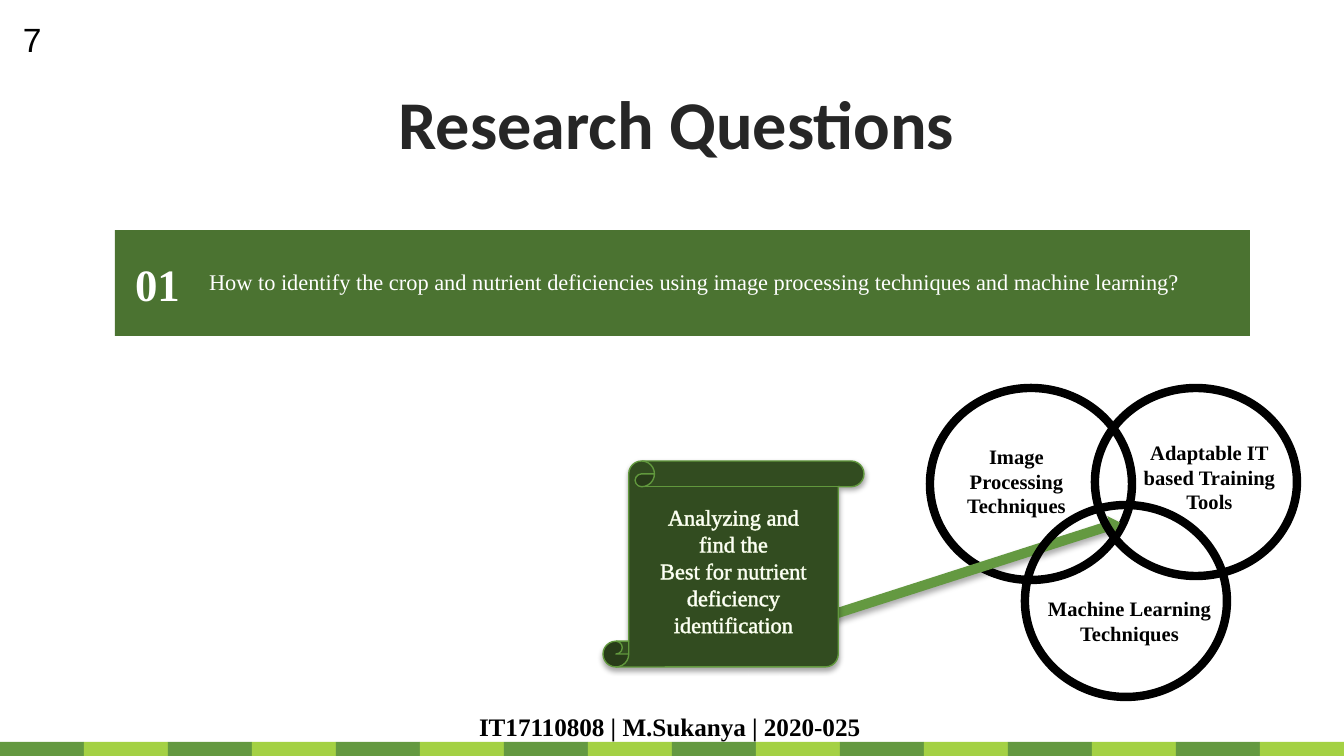
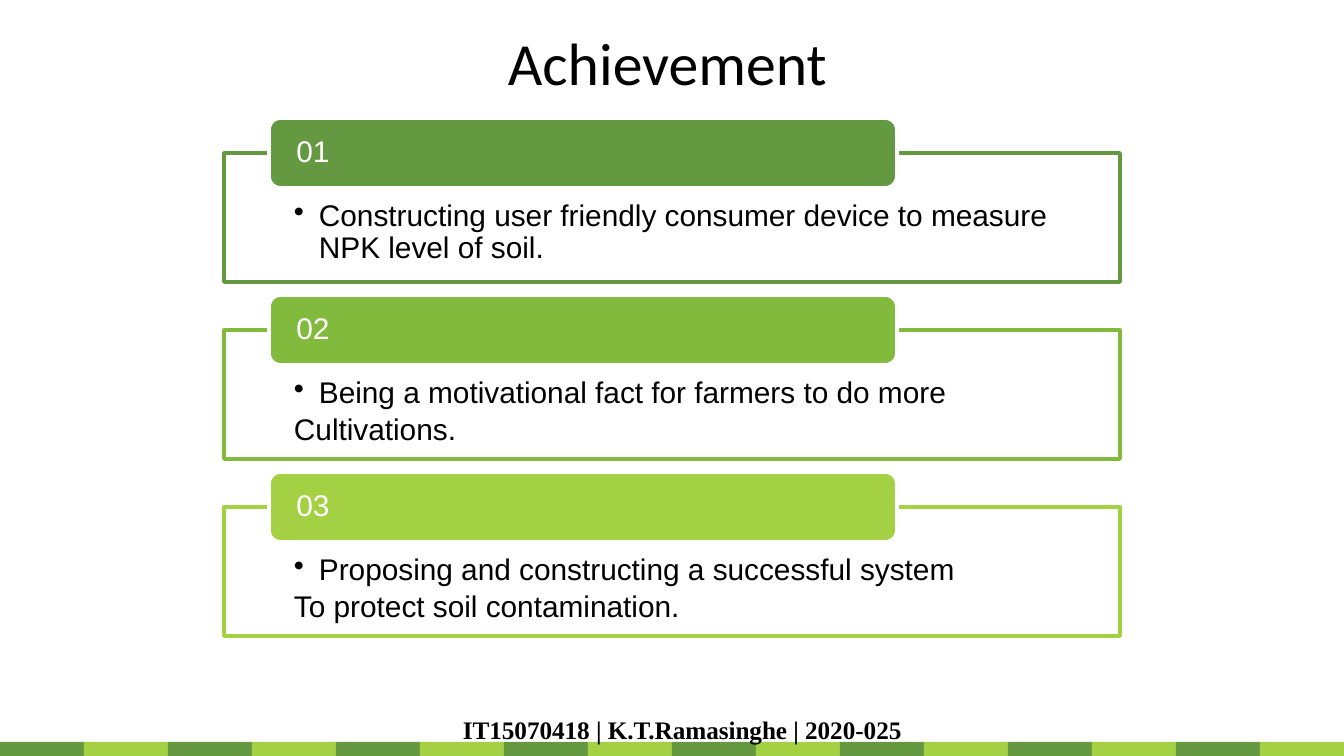
import pptx
import pptx.util
import pptx.dml.color
import pptx.enum.shapes
import pptx.enum.text
import pptx.oxml
import pptx.oxml.ns

SHAPE = pptx.enum.shapes.MSO_SHAPE
ALIGN = pptx.enum.text.PP_ALIGN
ANCHOR = pptx.enum.text.MSO_ANCHOR
Pt = pptx.util.Pt

SLIDE_W, SLIDE_H = 1344, 756
EMU_PER_PX = 914400 / 134.4
INSETS = (13, 7, 13, 7)

COLORS = {
    "green": "649941",
    "leaf": "81BA3D",
    "lime": "A4D144",
    "banner": "4B7331",
    "scroll": "324C20",
    "scroll line": "61983D",
    "glow": "EDF6DA",
    "ink": "262626",
    "black": "000000",
    "white": "FFFFFF",
}

# Text styles: font, size, colour, bold
STYLES = {
    "bold title": ("Calibri", 36.6, "ink", True),
    "title": ("Calibri", 32, "black", False),
    "footer": ("Times New Roman", 13.5, "black", True),
    "page": ("Arial", 18, "black", False),
    "number": ("Times New Roman", 24, "white", True),
    "question": ("Times New Roman", 12, "white", False),
    "circle": ("Times New Roman", 11, "black", True),
    "tab": ("Arial", 16, "white", False),
    "body": ("Arial", 16, "black", False),
}

QUESTION = ("How to identify the crop and nutrient deficiencies using "
            "image processing techniques and machine learning?")
SCROLL_LINES = ["Analyzing and", "find the", "Best for nutrient",
                "deficiency", "identification"]
# Circle box, label box, label lines
CIRCLES = [
    ((930, 388, 202, 192), (921, 437, 191, 89),
     ["Image", "Processing", "Techniques"]),
    ((1095, 388, 202, 188), (1122, 433, 175, 89),
     ["Adaptable IT", "based Training", "Tools"]),
    ((1025, 505, 202, 192), (1030, 589, 199, 63),
     ["Machine Learning Techniques"]),
]
ACHIEVEMENTS = [
    ("green", ["Constructing user friendly consumer device to measure "
               "NPK level of soil."]),
    ("leaf", ["Being a motivational fact for farmers to do more",
              "Cultivations."]),
    ("lime", ["Proposing and constructing a successful system",
              "To protect soil contamination."]),
]


def px(n):
    return pptx.util.Emu(round(n * EMU_PER_PX))


def rgb(name):
    return pptx.dml.color.RGBColor.from_string(COLORS[name])


def write(sp, lines, style, align=ALIGN.LEFT, anchor=ANCHOR.TOP, insets=INSETS):
    """Fill a shape with one paragraph per line and return the paragraphs."""
    font, size, color, bold = STYLES[style]
    tf = sp.text_frame
    tf.word_wrap = True
    tf.auto_size = pptx.enum.text.MSO_AUTO_SIZE.NONE
    tf.vertical_anchor = anchor
    tf.margin_left, tf.margin_top, tf.margin_right, tf.margin_bottom = map(px, insets)
    for i, line in enumerate(lines):
        p = tf.add_paragraph() if i else tf.paragraphs[0]
        p.alignment = align
        r = p.add_run()
        r.text = line
        r.font.name, r.font.size, r.font.bold = font, Pt(size), bold
        r.font.color.rgb = rgb(color)
    return tf.paragraphs


def add_shape(s, kind, box, fill=None, line=None, width=1):
    sp = s.shapes.add_shape(kind, *map(px, box))
    sp.shadow.inherit = False
    if fill:
        sp.fill.solid()
        sp.fill.fore_color.rgb = rgb(fill)
    else:
        sp.fill.background()
    if line:
        sp.line.color.rgb = rgb(line)
        sp.line.width = Pt(width)
    else:
        sp.line.fill.background()
    return sp


def add_text(s, box, lines, style, **layout):
    return write(s.shapes.add_textbox(*map(px, box)), lines, style, **layout)


def add_shadow(sp, alpha, blur, dist):
    """Cast a soft black shadow straight down; alpha in percent, the rest in points."""
    effects = sp._element.spPr.find(pptx.oxml.ns.qn("a:effectLst"))
    effects.append(pptx.oxml.parse_xml(
        f'<a:outerShdw {pptx.oxml.ns.nsdecls("a")} blurRad="{Pt(blur)}" '
        f'dist="{Pt(dist)}" dir="5400000" rotWithShape="0">'
        f'<a:srgbClr val="{COLORS["black"]}"><a:alpha val="{alpha * 1000}"/>'
        '</a:srgbClr></a:outerShdw>'))


def outline_text(p, color, width):
    for r in p.runs:
        r.font._element.insert(0, pptx.oxml.parse_xml(
            f'<a:ln {pptx.oxml.ns.nsdecls("a")} w="{Pt(width)}"><a:solidFill>'
            f'<a:srgbClr val="{COLORS[color]}"/></a:solidFill></a:ln>'))


def add_bullet(p, indent):
    pPr = p._p.get_or_add_pPr()
    pPr.set("marL", str(px(indent)))
    pPr.set("indent", str(-px(indent)))
    pPr.append(pptx.oxml.parse_xml(
        f'<a:buChar {pptx.oxml.ns.nsdecls("a")} char="•"/>'))


def new_slide(prs, title, title_box, title_style, footer, footer_box):
    """Add a slide with its title, the striped bottom band and the footer."""
    s = prs.slides.add_slide(prs.slide_layouts[5])
    stripes, height = 16, 14
    stripe_w = SLIDE_W // stripes
    for i in range(stripes):
        add_shape(s, SHAPE.RECTANGLE,
                  (i * stripe_w, SLIDE_H - height, stripe_w, height),
                  ("green", "lime")[i % 2])
    sp = s.shapes.title
    sp.left, sp.top, sp.width, sp.height = map(px, title_box)
    write(sp, [title], title_style, align=ALIGN.CENTER)
    add_text(s, footer_box, [footer], "footer")
    return s


def add_circle(s, circle, label_box, lines):
    add_shape(s, SHAPE.OVAL, circle, line="black", width=4.5)
    add_text(s, label_box, lines, "circle", align=ALIGN.CENTER)


def research_slide(prs):
    s = new_slide(prs, "Research Questions", (94, 74, 1165, 94), "bold title",
                  "IT17110808 | M.Sukanya | 2020-025", (466, 704, 435, 44))
    add_text(s, (23, 19, 40, 40), ["7"], "page", insets=(0, 0, 0, 0))

    add_shape(s, SHAPE.RECTANGLE, (115, 230, 1135, 106), "banner")
    question = add_shape(s, SHAPE.RECTANGLE, (196, 261, 1047, 41), "banner")
    write(question, [QUESTION], "question", anchor=ANCHOR.MIDDLE)
    add_text(s, (122, 250, 75, 67), ["01"], "number")

    add_circle(s, *CIRCLES[0])
    arrow = add_shape(s, SHAPE.RIGHT_ARROW, (708, 577, 422, 20), "green")
    arrow.rotation = 342.2
    add_shadow(arrow, 32, 3.5, 2.2)

    scroll = add_shape(s, SHAPE.VERTICAL_SCROLL, (603, 461, 261, 206),
                       "scroll", "scroll line", 0.75)
    add_shadow(scroll, 35, 3.1, 1.8)
    for p in write(scroll, SCROLL_LINES, "question",
                   align=ALIGN.CENTER, anchor=ANCHOR.MIDDLE):
        outline_text(p, "glow", 0.75)

    for circle in CIRCLES[1:]:
        add_circle(s, *circle)


def achievement_slide(prs):
    s = new_slide(prs, "Achievement", (112, 19, 1111, 86), "title",
                  "IT15070418 | K.T.Ramasinghe | 2020-025", (450, 707, 470, 44))
    top, pitch, tab_rise = 153, 177, 35
    for i, (color, lines) in enumerate(ACHIEVEMENTS):
        y = top + i * pitch
        card = add_shape(s, SHAPE.RECTANGLE, (224, y, 896, 129), "white", color, 2)
        paragraphs = write(card, lines, "body", insets=(70, 48, 66, 16))
        for p in paragraphs:
            p.line_spacing = 0.9
            p.space_after = Pt(2.4)
        add_bullet(paragraphs[0], 25)

        tab = add_shape(s, SHAPE.ROUNDED_RECTANGLE, (269, y - tab_rise, 628, 70),
                        color, "white", 2)
        write(tab, [f"{i + 1:02}"], "tab", anchor=ANCHOR.MIDDLE,
              insets=(24, 0, 24, 0))[0].line_spacing = 0.9


def main():
    prs = pptx.Presentation()
    prs.slide_width, prs.slide_height = px(SLIDE_W), px(SLIDE_H)
    research_slide(prs)
    achievement_slide(prs)
    prs.save("out.pptx")


if __name__ == "__main__":
    main()
